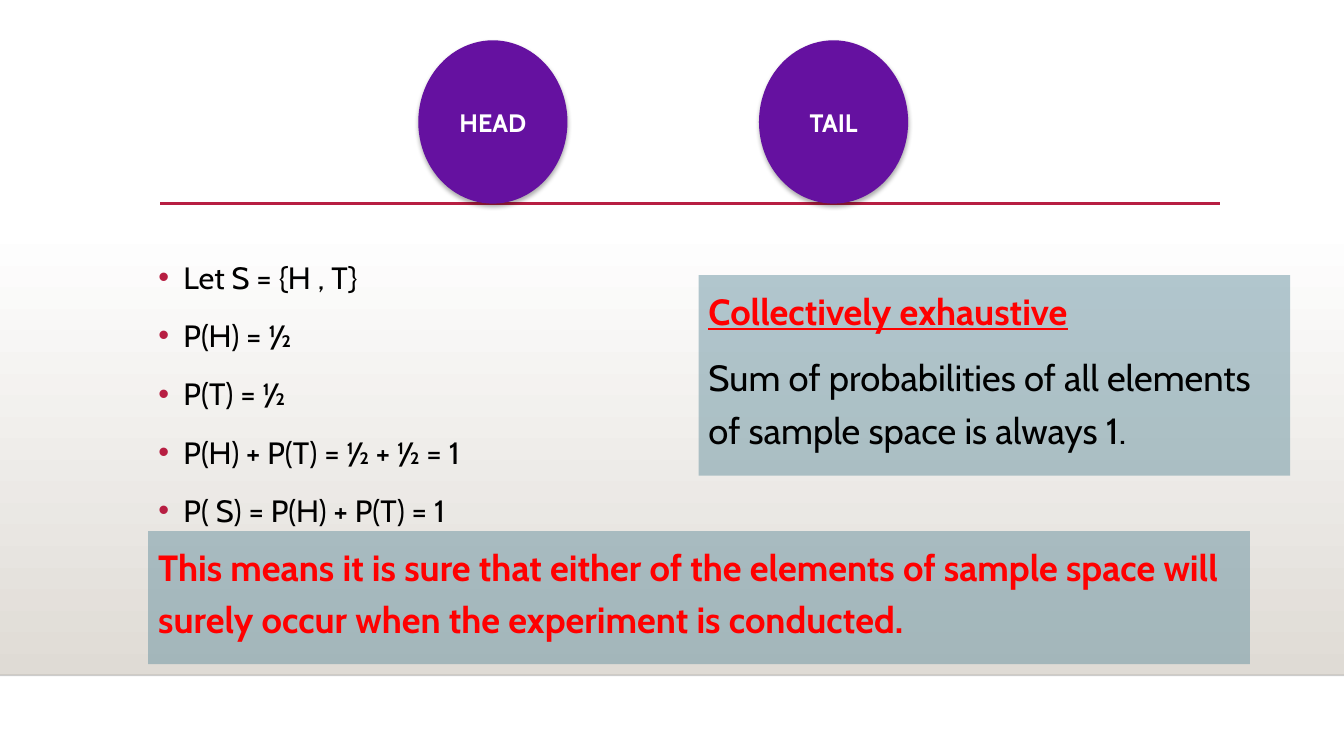
from dataclasses import dataclass

from lxml.etree import SubElement
from pptx import Presentation
from pptx.dml.color import RGBColor
from pptx.enum.shapes import MSO_CONNECTOR, MSO_SHAPE
from pptx.enum.text import MSO_ANCHOR, PP_ALIGN
from pptx.oxml.ns import qn
from pptx.util import Inches, Pt


@dataclass(frozen=True)
class Theme:
    font: str = "Cabin"
    white: str = "FFFFFF"
    black: str = "000000"
    sand: str = "DFDBD5"
    rose: str = "B71E42"
    plum: str = "6511A0"
    teal: str = "6892A0"
    red: str = "FF0000"
    label: int = 18
    list: int = 22
    note: int = 26
    lead: float = 1.2
    gap: int = 10


def tint(code):
    return RGBColor.from_string(code)


def add_node(root, tag, **attrs):
    node = SubElement(root, qn(tag))
    for key, val in attrs.items():
        node.set(key, str(val))
    return node


def fade(shape, share):
    color = next(shape._element.spPr.iter(qn("a:srgbClr")))
    add_node(color, "a:alpha", val=share * 1000)


def write(frame, text, *, font, size, color, bold=False, under=False,
          align=PP_ALIGN.LEFT, lead=1, gap=0, dot=None):
    first = not frame.paragraphs[0].runs
    para = frame.paragraphs[0] if first else frame.add_paragraph()
    para.alignment = align
    para.line_spacing = lead
    para.space_before = Pt(0 if first else gap)
    para.space_after = Pt(0)
    if dot:
        props = para._p.get_or_add_pPr()
        props.set("marL", str(Inches(0.25)))
        props.set("indent", str(-Inches(0.25)))
        add_node(add_node(props, "a:buClr"), "a:srgbClr", val=dot)
        add_node(props, "a:buFont", typeface="Arial")
        add_node(props, "a:buChar", char="•")
    run = para.add_run()
    run.text = text
    face = run.font
    face.name, face.size, face.bold = font, Pt(size), bold
    face.underline = under
    face.color.rgb = tint(color)


class Page:
    cols, rows = 160, 90

    def __init__(self, deck, theme):
        self.wide, self.high = deck.slide_width, deck.slide_height
        self.theme = theme
        self.slide = deck.slides.add_slide(deck.slide_layouts[1])
        title = self.slide.shapes.title._element
        title.getparent().remove(title)
        self.slide.background.fill.solid()
        self.slide.background.fill.fore_color.rgb = tint(theme.white)

    def place(self, col, row, wide, high):
        across, down = self.wide / self.cols, self.high / self.rows
        return (round(col * across), round(row * down),
                round(wide * across), round(high * down))

    def shape(self, kind, area, color=None):
        shape = self.slide.shapes.add_shape(kind, *self.place(*area))
        shape.shadow.inherit = False
        shape.line.fill.background()
        if color:
            shape.fill.solid()
            shape.fill.fore_color.rgb = tint(color)
        return shape

    def band(self, area):
        fill = self.shape(MSO_SHAPE.RECTANGLE, area).fill
        fill.gradient()
        fill.gradient_angle = 270
        for stop, color in zip(fill.gradient_stops,
                               (self.theme.white, self.theme.sand)):
            stop.color.rgb = tint(color)

    def rule(self, col, row, wide, color, weight):
        left, top, span, _ = self.place(col, row, wide, 0)
        line = self.slide.shapes.add_connector(
            MSO_CONNECTOR.STRAIGHT, left, top, left + span, top)
        line.line.color.rgb = tint(color)
        line.line.width = Pt(weight)
        add_node(line._element.spPr, "a:effectLst")
        return line

    def list(self, area, items):
        body = self.slide.placeholders[1]
        body.left, body.top, body.width, body.height = self.place(*area)
        body._element.getparent().append(body._element)
        body.text_frame.vertical_anchor = MSO_ANCHOR.TOP
        style = self.theme
        for item in items:
            write(body.text_frame, item, font=style.font, size=style.list,
                  color=style.black, lead=style.lead, gap=style.gap,
                  dot=style.rose)

    def coin(self, area, text):
        style = self.theme
        coin = self.shape(MSO_SHAPE.OVAL, area, style.plum)
        glow = add_node(coin._element.spPr.find(qn("a:effectLst")),
                        "a:outerShdw", blurRad=Pt(3.5), dist=Pt(2.2),
                        dir=90 * 60000, rotWithShape=0)
        color = add_node(glow, "a:srgbClr", val=style.black)
        add_node(color, "a:alpha", val=32000)
        coin.text_frame.vertical_anchor = MSO_ANCHOR.MIDDLE
        write(coin.text_frame, text, font=style.font, size=style.label,
              color=style.white, bold=True, align=PP_ALIGN.CENTER)

    def note(self, area, parts):
        style = self.theme
        box = self.shape(MSO_SHAPE.RECTANGLE, area, style.teal)
        fade(box, 50)
        box.text_frame.word_wrap = True
        box.text_frame.vertical_anchor = MSO_ANCHOR.TOP
        for text, form in parts:
            write(box.text_frame, text, font=style.font, size=style.note,
                  lead=style.lead, gap=style.gap, **form)


def main():
    deck = Presentation()
    deck.slide_width, deck.slide_height = Inches(13.33), Inches(7.5)
    theme = Theme()
    page = Page(deck, theme)
    page.band((0, 26.52, page.cols, 53.88))
    fade(page.rule(0, 80.4, page.cols, theme.black, 1), 20)
    page.rule(19.08, 24.24, 126.12, theme.rose, 2.5)
    page.list((17.64, 29.28, 58.2, 36.84), (
        "Let S = {H , T}",
        "P(H) = ½",
        "P(T) = ½",
        "P(H) + P(T) = ½ + ½ = 1",
        "P( S) = P(H) + P(T) = 1",
    ))
    for spot, side in enumerate(("HEAD", "TAIL")):
        page.coin((49.8 + spot * 40.56, 4.8, 17.76, 19.44), side)
    loud = {"color": theme.red, "bold": True}
    page.note((83.16, 32.76, 70.44, 23.88), (
        ("Collectively exhaustive", {**loud, "under": True}),
        ("Sum of probabilities of all elements of sample space is always 1.",
         {"color": theme.black}),
    ))
    page.note((17.64, 63.24, 131.16, 15.84), (
        ("This means it is sure that either of the elements of sample space "
         "will surely occur when the experiment is conducted.", loud),
    ))
    deck.save("out.pptx")


if __name__ == "__main__":
    main()
